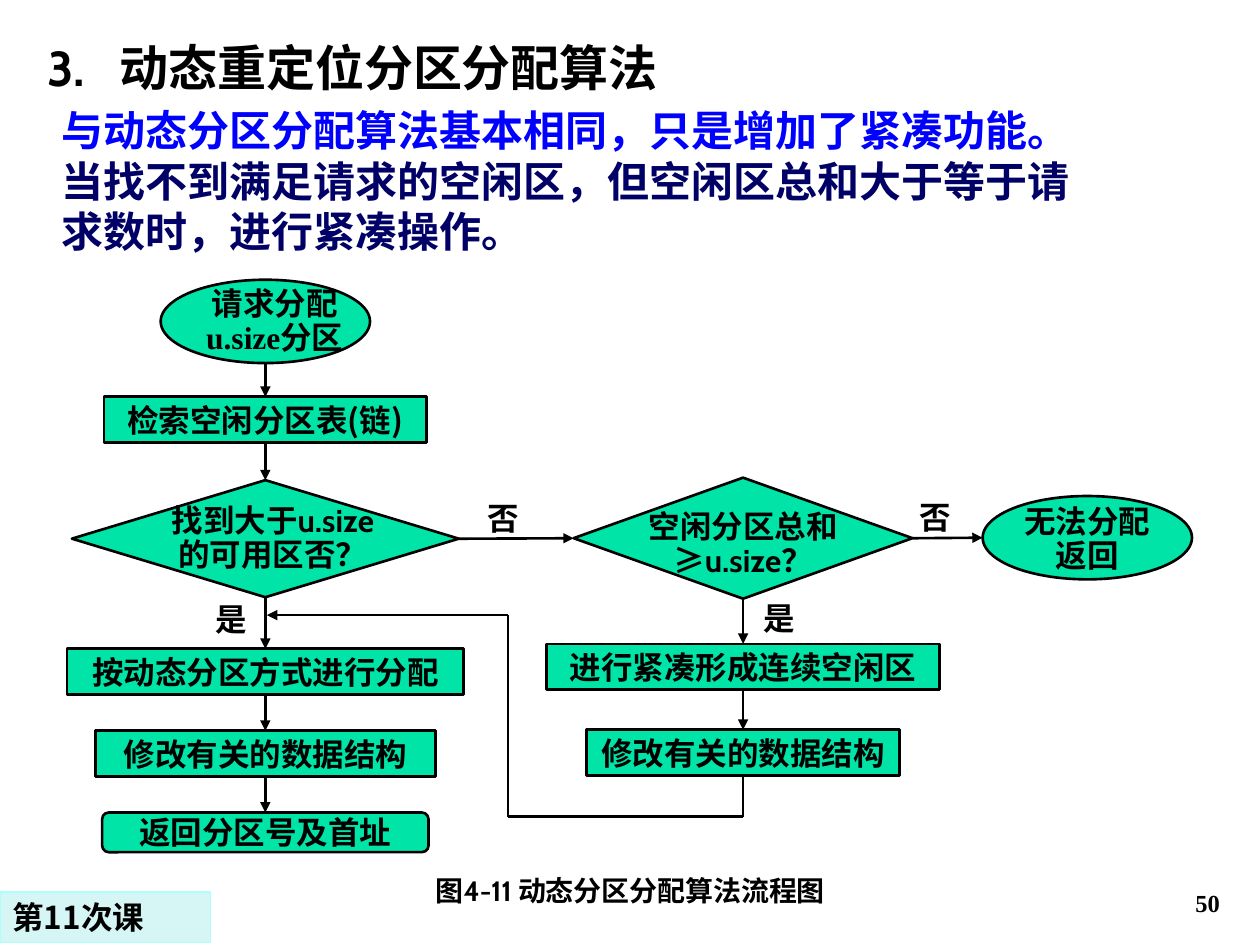
from itertools import cycle, pairwise

from lxml.etree import SubElement
from pptx import Presentation
from pptx.dml.color import RGBColor
from pptx.enum.shapes import MSO_CONNECTOR as Link, MSO_SHAPE as Kind
from pptx.enum.text import MSO_ANCHOR as Anchor, PP_ALIGN as Align
from pptx.oxml.ns import qn
from pptx.util import Cm, Pt

NOTO = "Noto Sans CJK SC"
TIMES = "Times New Roman"


def paint(form, tint):
    form.solid()
    form.fore_color.rgb = RGBColor.from_string(tint)


def write(shape, text, size=18, face="Cabin", inks=("000000",), align=Align.CENTER,
          anchor=Anchor.TOP, pad=(0.05, 0), wrap=True, lead=None, hang=0):
    frame = shape.text_frame
    frame.word_wrap = wrap
    frame.vertical_anchor = anchor
    frame.margin_left = frame.margin_right = Cm(pad[0])
    frame.margin_top = frame.margin_bottom = Cm(pad[1])
    for i, (line, ink) in enumerate(zip(text.split("\n"), cycle(inks))):
        para = frame.add_paragraph() if i else frame.paragraphs[0]
        para.alignment = align
        if lead:
            para.line_spacing = lead
        if hang:
            props = para._p.get_or_add_pPr()
            props.set("marL", str(Cm(hang)))
            props.set("indent", str(-Cm(hang)))
        run = para.add_run()
        run.text = line
        font = run.font
        font.size, font.bold, font.name = Pt(size), True, face
        paint(font.fill, ink)
        SubElement(run._r.get_or_add_rPr(), qn("a:ea"), typeface=NOTO)


def label(shapes, x, y, w, h, text, **form):
    write(shapes.add_textbox(Cm(x), Cm(y), Cm(w), Cm(h)), text, **form)


def block(shapes, kind, x, y, w, h, fill="00E4A8", edge="000000", width=1.5):
    shape = shapes.add_shape(kind, Cm(x), Cm(y), Cm(w), Cm(h))
    shape.shadow.inherit = False
    paint(shape.fill, fill)
    paint(shape.line.fill, edge)
    shape.line.width = Pt(width)
    return shape


def step(shapes, mid, y, w, text, h=0.92, kind=Kind.FLOWCHART_PROCESS, face="Cabin"):
    shape = block(shapes, kind, mid - w / 2, y, w, h)
    write(shape, text, face=face, anchor=Anchor.MIDDLE, wrap=False)
    return shape


def node(shapes, kind, mid, y, w, h, text, span, drop, shift=0, face="Cabin"):
    shape = block(shapes, kind, mid - w / 2, y, w, h)
    label(shapes, mid + shift - span / 2, y + drop, span, 1.37, text, face=face, lead=0.9)
    return shape


def line(shapes, start=(0, 0), stop=(0, 0), tail=None, tip=None, arrow=True):
    ends = [Cm(v) for v in (*start, *stop)]
    wire = shapes.add_connector(Link.STRAIGHT, *ends)
    if tail:
        wire.begin_connect(*tail)
    if tip:
        wire.end_connect(*tip)
    paint(wire.line.fill, "000000")
    wire.line.width = Pt(1.5)
    if arrow:
        SubElement(wire.line._get_or_add_ln(), qn("a:tailEnd"), type="triangle")
    SubElement(wire._element.spPr, qn("a:effectLst"))


def chain(shapes, parts):
    for upper, lower in pairwise(parts):
        line(shapes, tail=(upper, 2), tip=(lower, 0))


def head(shapes, x, y, w, h):
    label(shapes, x, y, w, 1.6, "3.\t动态重定位分区分配算法", size=28,
          align=Align.LEFT, pad=(0.25, 0.13), hang=1.45)
    label(shapes, x + 0.28, y + 1.35, w - 0.28, h - 1.35,
          "与动态分区分配算法基本相同，只是增加了紧凑功能。\n"
          "当找不到满足请求的空闲区，但空闲区总和大于等于请求数时，进行紧凑操作。",
          size=24, face=NOTO, inks=("0000FF", "000066"), align=Align.LEFT, pad=(0.25, 0.13))


def left(shapes, x, y, w, h):
    mid = x + w / 2
    node(shapes, Kind.OVAL, mid, y, 4.22, 1.68, "请求分配\nu.size分区",
         3.63, 0.18, shift=0.19, face=TIMES)
    scan = step(shapes, mid, y + 2.36, 6.5, "检索空闲分区表(链)", face=NOTO)
    test = node(shapes, Kind.FLOWCHART_DECISION, mid, y + 4.04, 7.8, 2.36,
                "找到大于u.size\n的可用区否？", 5.18, 0.51, shift=0.15)
    give = step(shapes, mid, y + 7.44, w, "按动态分区方式进行分配")
    edit = step(shapes, mid, y + 9.09, 6.86, "修改有关的数据结构")
    done = step(shapes, mid, y + 10.74, 6.58, "返回分区号及首址", h=h - 10.74,
                kind=Kind.FLOWCHART_ALTERNATE_PROCESS)
    line(shapes, start=(mid, y + 1.68), tip=(scan, 0))
    chain(shapes, (scan, test, give, edit, done))
    label(shapes, x + 2.66, y + 6.45, 1.3, 0.76, "是")
    return test


def right(shapes, x, y, w, h, test):
    mid = x + w / 2
    total = node(shapes, Kind.FLOWCHART_DECISION, mid, y, 6.83, 2.44,
                 "空闲分区总和≥u.size？", 5.18, 0.68)
    pack = step(shapes, mid, y + 3.35, w, "进行紧凑形成连续空闲区")
    edit = step(shapes, mid, y + 5.08, 6.32, "修改有关的数据结构")
    chain(shapes, (total, pack, edit))
    line(shapes, tail=(test, 3), tip=(total, 1))
    turn, low, high = x - 0.78, y + h, y + 2.77
    line(shapes, stop=(mid, low), tail=(edit, 2), arrow=False)
    line(shapes, (mid, low), (turn, low), arrow=False)
    line(shapes, (turn, low), (turn, high), arrow=False)
    line(shapes, (turn, high), (x - 5.64, high))
    label(shapes, x - 1.52, y + 0.43, 1.3, 0.76, "否")
    label(shapes, x + 4.04, y + 2.44, 1.3, 0.76, "是")
    return total


def fail(shapes, x, y, w, h, total):
    node(shapes, Kind.OVAL, x + w / 2, y, w, h, "无法分配\n返回", 3.28, 0.2)
    line(shapes, stop=(x, y + h / 2), tail=(total, 3))
    label(shapes, x - 1.6, y + 0.03, 1.3, 0.76, "否")


def foot(shapes, x, y, w, h):
    label(shapes, x + 8, y + 0.13, 9.42, 0.94, "图4-11 动态分区分配算法流程图",
          size=16, pad=(0.25, 0.13))
    tag = block(shapes, Kind.RECTANGLE, x, y + 0.63, 4.25, 1.02,
                fill="D6F5F5", edge="ADFFFF", width=0.75)
    write(tag, "第11次课", face=NOTO, align=Align.LEFT, pad=(0.25, 0.13))
    label(shapes, x + w - 5.84, y, 5.28, 1.27, "50", size=14, face=TIMES,
          align=Align.RIGHT, anchor=Anchor.BOTTOM, pad=(0.25, 0.13))


def main():
    deck = Presentation()
    deck.slide_width, deck.slide_height = Cm(25.4), Cm(19.05)
    shapes = deck.slides.add_slide(deck.slide_layouts[6]).shapes
    head(shapes, 0.71, 0.63, 21.87, 4.65)
    test = left(shapes, 1.35, 5.64, 8, 11.54)
    total = right(shapes, 11.02, 9.63, 7.92, 6.83, test)
    fail(shapes, 19.81, 10, 4.22, 1.68, total)
    foot(shapes, 0, 17.35, 25.4, 1.7)
    deck.save("out.pptx")


if __name__ == "__main__":
    main()
